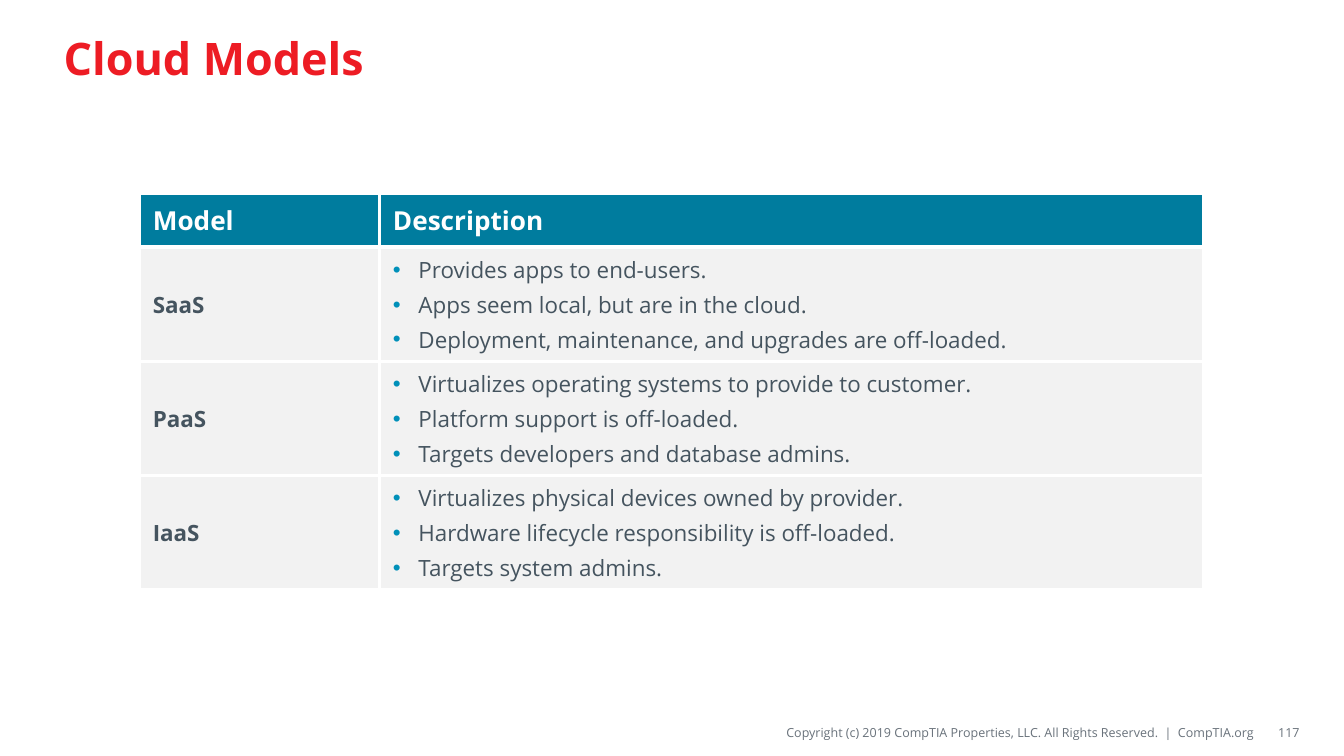
from lxml.etree import SubElement
from pptx import Presentation
from pptx.dml.color import RGBColor
from pptx.enum.text import MSO_ANCHOR, PP_ALIGN
from pptx.oxml.ns import qn
from pptx.util import Inches, Pt

RED = RGBColor(0xED, 0x1C, 0x24)
TEAL = RGBColor(0x00, 0x7C, 0x9E)
BLUE = RGBColor(0x00, 0x90, 0xB9)
SLATE = RGBColor(0x45, 0x54, 0x5F)
GREY = RGBColor(0x69, 0x72, 0x7B)
PALE = RGBColor(0xF2, 0xF2, 0xF2)
WHITE = RGBColor(0xFF, 0xFF, 0xFF)

HEAD = {"size": Pt(24), "bold": True, "color": RED}
TOP = {"size": Pt(14), "bold": True, "color": WHITE}
NAME = {"size": Pt(12), "bold": True, "color": SLATE}
ITEM = {"size": Pt(12), "bold": False, "color": SLATE}
FOOT = {"size": Pt(6.75), "bold": False, "color": GREY}

ROWS = [
    ("SaaS", ["Provides apps to end-users.",
              "Apps seem local, but are in the cloud.",
              "Deployment, maintenance, and upgrades are off-loaded."]),
    ("PaaS", ["Virtualizes operating systems to provide to customer.",
              "Platform support is off-loaded.",
              "Targets developers and database admins."]),
    ("IaaS", ["Virtualizes physical devices owned by provider.",
              "Hardware lifecycle responsibility is off-loaded.",
              "Targets system admins."]),
]
LEGAL = ("Copyright (c) 2019 CompTIA Properties, LLC. "
         "All Rights Reserved.  |  CompTIA.org")


def write(para, text, style):
    run = para.add_run()
    run.text = text
    run.font.name = "Open Sans"
    for key, val in style.items():
        if key == "color":
            run.font.color.rgb = val
        else:
            setattr(run.font, key, val)


def paint(cell, shade):
    props = cell._tc.get_or_add_tcPr()
    for side in ("a:lnL", "a:lnR", "a:lnT", "a:lnB"):
        line = SubElement(props, qn(side), w=str(Pt(2.25)))
        fill = SubElement(line, qn("a:solidFill"))
        SubElement(fill, qn("a:srgbClr"), val=str(WHITE))
    cell.fill.solid()
    cell.fill.fore_color.rgb = shade
    cell.vertical_anchor = MSO_ANCHOR.MIDDLE


deck = Presentation()
deck.slide_width = Inches(10)
deck.slide_height = deck.slide_width * 9 // 16
col, row = deck.slide_width / 100, deck.slide_height / 100
slide = deck.slides.add_slide(deck.slide_layouts[5])

title = slide.shapes.title
place = {"left": 3.73 * col, "top": 1.5 * row,
         "width": 92.5 * col, "height": 12.3 * row}
for key, val in place.items():
    setattr(title, key, int(val))
title.text_frame.vertical_anchor = MSO_ANCHOR.MIDDLE
para = title.text_frame.paragraphs[0]
para.alignment = PP_ALIGN.LEFT
write(para, "Cloud Models", HEAD)

wide, tall = [17.87, 61.33], [7.1] + [15.1] * len(ROWS)
frame = slide.shapes.add_table(
    len(tall), len(wide), int(10.37 * col), int(25.6 * row),
    int(sum(wide) * col), int(sum(tall) * row))
table = frame.table
for part, size in zip(table.columns, wide):
    part.width = int(size * col)
for part, size in zip(table.rows, tall):
    part.height = int(size * row)

for spot, text in enumerate(("Model", "Description")):
    cell = table.cell(0, spot)
    paint(cell, TEAL)
    write(cell.text_frame.paragraphs[0], text, TOP)

for line, (name, items) in enumerate(ROWS, 1):
    left, right = table.cell(line, 0), table.cell(line, 1)
    paint(left, PALE)
    paint(right, PALE)
    write(left.text_frame.paragraphs[0], name, NAME)
    body = right.text_frame
    for spot, text in enumerate(items):
        para = body.add_paragraph() if spot else body.paragraphs[0]
        props = para._p.get_or_add_pPr()
        props.set("marL", str(Inches(0.19)))
        props.set("indent", str(-Inches(0.19)))
        tint = SubElement(props, qn("a:buClr"))
        SubElement(tint, qn("a:srgbClr"), val=str(BLUE))
        SubElement(props, qn("a:buFont"), typeface="Arial")
        SubElement(props, qn("a:buChar"), char="•")
        if spot:
            para.space_before = Pt(2.4)
        write(para, text, ITEM)

for x, w, pad, text in ((38.8, 54.6, 0, LEGAL), (93.8, 2.9, 0.1, "117")):
    box = slide.shapes.add_textbox(
        int(x * col), int(95 * row), int(w * col), int(3.9 * row))
    body = box.text_frame
    form = {"word_wrap": True, "vertical_anchor": MSO_ANCHOR.MIDDLE,
            "margin_left": Inches(pad), "margin_right": 0,
            "margin_top": Inches(0.04), "margin_bottom": Inches(0.04)}
    for key, val in form.items():
        setattr(body, key, val)
    para = body.paragraphs[0]
    para.alignment = PP_ALIGN.RIGHT
    write(para, text, FOOT)

deck.save("out.pptx")
